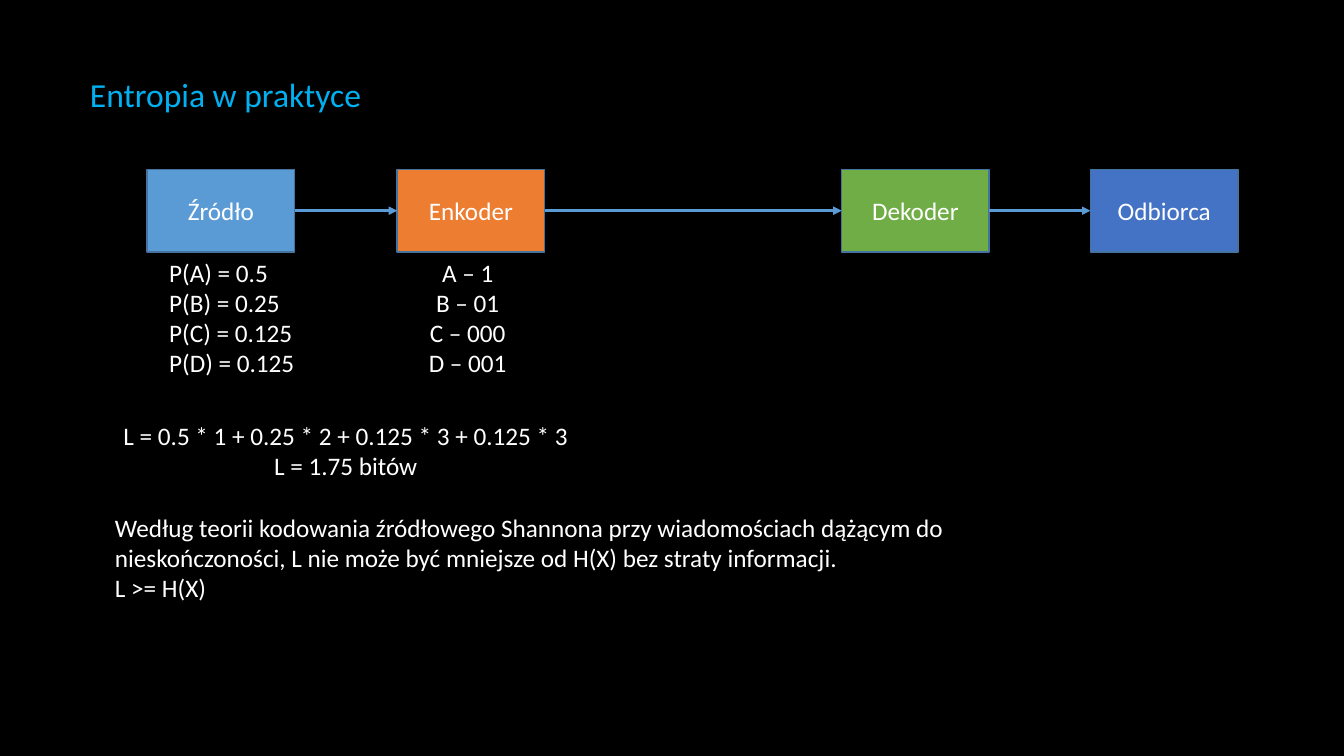
from dataclasses import dataclass
from itertools import pairwise

from lxml.etree import SubElement
from pptx import Presentation
from pptx.dml.color import RGBColor
from pptx.enum.shapes import MSO_CONNECTOR as Connector, MSO_SHAPE as Shape
from pptx.enum.text import MSO_ANCHOR as Anchor, PP_ALIGN as Align
from pptx.oxml.ns import qn
from pptx.util import Pt

# Content
HEADING = "Entropia w praktyce"
# name, fill colour, left edge
STAGES = [
    ("Źródło", "5B9BD5", 105.1),
    ("Enkoder", "ED7D31", 283.7),
    ("Dekoder", "70AD47", 601.2),
    ("Odbiorca", "4472C4", 779),
]
# lines, alignment, (left, top, width)
NOTES = [
    (["P(A) = 0.5", "P(B) = 0.25", "P(C) = 0.125", "P(D) = 0.125"],
     Align.LEFT, (113.8, 180, 125)),
    (["A – 1", "B – 01", "C – 000", "D – 001"],
     Align.CENTER, (281.6, 180, 105)),
    (["L = 0.5 * 1 + 0.25 * 2 + 0.125 * 3 + 0.125 * 3", "L = 1.75 bitów"],
     Align.CENTER, (20, 296.6, 454)),
    (["Według teorii kodowania źródłowego Shannona przy wiadomościach dążącym do "
      "nieskończoności, L nie może być mniejsze od H(X) bez straty informacji.",
      "L >= H(X)"],
     Align.LEFT, (75, 362.2, 713)),
]


@dataclass(frozen=True)
class Theme:
    font: str = "Calibri"
    background: str = "000000"
    heading: str = "00B0F0"
    text: str = "FFFFFF"
    outline: str = "43739E"
    arrow: str = "5B9BD5"
    heading_size: int = 24
    text_size: int = 18


THEME = Theme()
STAGE_TOP, STAGE_WIDTH, STAGE_HEIGHT = 121, 105.4, 59
LINE_HEIGHT, PADDING = 22, 7.2


def write(paragraph, words, align, size=THEME.text_size, color=THEME.text):
    paragraph.alignment = align
    run = paragraph.add_run()
    run.text = words
    run.font.name = THEME.font
    run.font.size = Pt(size)
    run.font.color.rgb = RGBColor.from_string(color)


def add_stage(slide, name, color, left):
    stage = slide.shapes.add_shape(
        Shape.RECTANGLE, Pt(left), Pt(STAGE_TOP), Pt(STAGE_WIDTH), Pt(STAGE_HEIGHT))
    stage.shadow.inherit = False
    stage.fill.solid()
    stage.fill.fore_color.rgb = RGBColor.from_string(color)
    stage.line.color.rgb = RGBColor.from_string(THEME.outline)
    stage.line.width = Pt(1)
    stage.text_frame.vertical_anchor = Anchor.MIDDLE
    write(stage.text_frame.paragraphs[0], name, Align.CENTER)
    return stage


def add_arrow(slide, sender, receiver):
    arrow = slide.shapes.add_connector(Connector.STRAIGHT, 0, 0, 0, 0)
    arrow.begin_connect(sender, 3)
    arrow.end_connect(receiver, 1)
    arrow.line.color.rgb = RGBColor.from_string(THEME.arrow)
    arrow.line.width = Pt(2)
    SubElement(arrow.line._get_or_add_ln(), qn("a:tailEnd"), type="triangle")
    SubElement(arrow._element.spPr, qn("a:effectLst"))


def add_note(slide, lines, align, place):
    left, top, width = place
    height = len(lines) * LINE_HEIGHT + 2 * PADDING
    frame = slide.shapes.add_textbox(Pt(left), Pt(top), Pt(width), Pt(height)).text_frame
    frame.word_wrap = True
    for index, line in enumerate(lines):
        paragraph = frame.add_paragraph() if index else frame.paragraphs[0]
        write(paragraph, line, align)


def main():
    deck = Presentation()
    deck.slide_width, deck.slide_height = Pt(960), Pt(540)
    slide = deck.slides.add_slide(deck.slide_layouts[5])
    slide.background.fill.solid()
    slide.background.fill.fore_color.rgb = RGBColor.from_string(THEME.background)

    # Heading
    heading = slide.shapes.title
    heading.left, heading.top, heading.width, heading.height = map(Pt, (57, 51, 652, 33))
    heading.text_frame.vertical_anchor = Anchor.MIDDLE
    write(heading.text_frame.paragraphs[0], HEADING, Align.LEFT,
          THEME.heading_size, THEME.heading)

    # Transmission chain
    stages = [add_stage(slide, *stage) for stage in STAGES]
    for sender, receiver in pairwise(stages):
        add_arrow(slide, sender, receiver)

    # Probabilities, codes, mean length and Shannon's bound
    for note in NOTES:
        add_note(slide, *note)

    deck.save("out.pptx")


if __name__ == "__main__":
    main()
